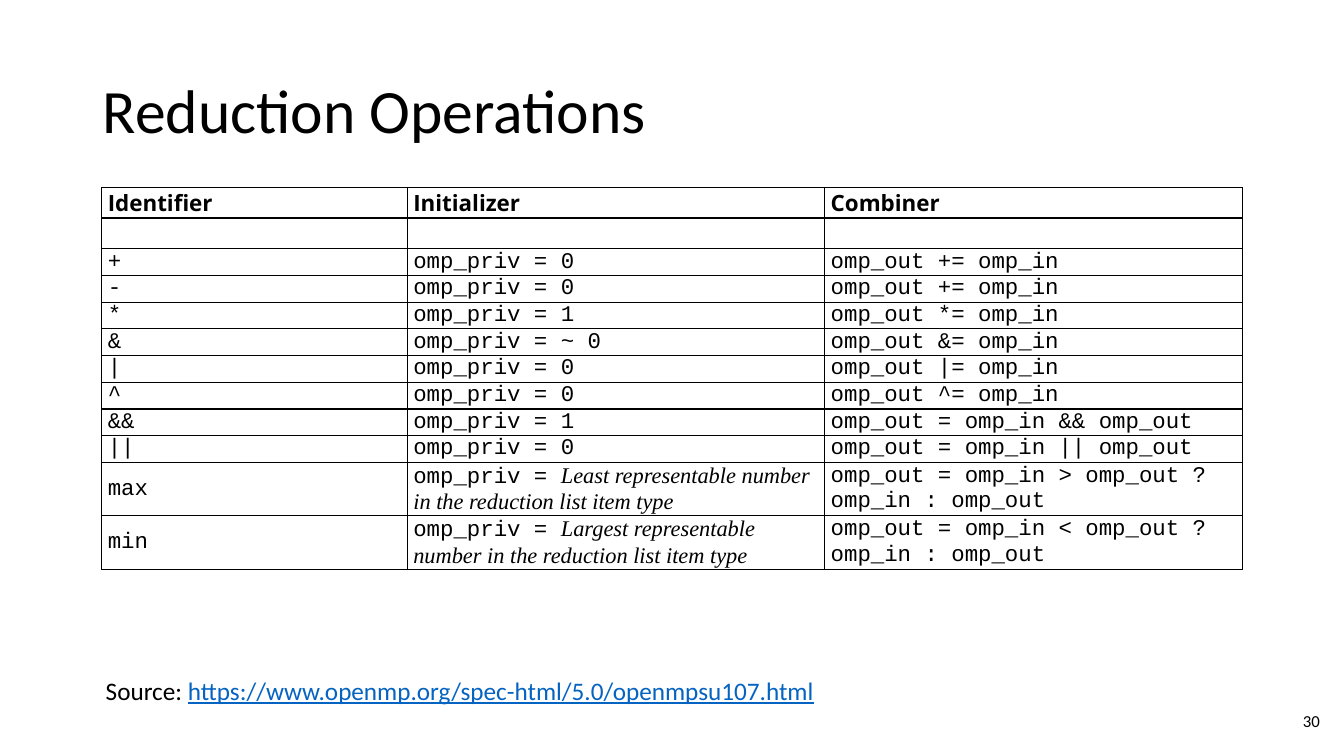
from lxml.etree import SubElement
from pptx import Presentation
from pptx.dml.color import RGBColor
from pptx.enum.text import MSO_ANCHOR as Anchor, MSO_AUTO_SIZE as AutoSize, PP_ALIGN as Align
from pptx.oxml.ns import qn
from pptx.util import Inches, Pt

BLACK, LINK_BLUE = "000000", "0563C1"
HEADING = {"name": "Open Sans", "size": Pt(16), "bold": True}
CODE = {"name": "Courier New", "size": Pt(16), "bold": False}
PROSE = {"name": "Times New Roman", "size": Pt(16), "bold": False, "italic": True}
TITLE = {"name": "Calibri", "size": Pt(44)}
SOURCE = {"name": "Calibri", "size": Pt(18)}
NUMBER = {"name": "Calibri", "size": Pt(12)}
CELL = {"margin_left": Inches(0.06), "margin_right": Inches(0.06),
        "margin_top": 0, "margin_bottom": 0, "vertical_anchor": Anchor.MIDDLE}

HEADINGS = ["Identifier", "Initializer", "Combiner"]
OPERATIONS = [
    ("+", "0", "+= omp_in"),
    ("-", "0", "+= omp_in"),
    ("*", "1", "*= omp_in"),
    ("&", "~ 0", "&= omp_in"),
    ("|", "0", "|= omp_in"),
    ("^", "0", "^= omp_in"),
    ("&&", "1", "= omp_in && omp_out"),
    ("||", "0", "= omp_in || omp_out"),
]
EXTREMES = [("max", "Least", ">"), ("min", "Largest", "<")]
COLUMN_WIDTHS = [3.03, 4.14, 4.14]
ROW_HEIGHTS = [0.3] * 2 + [0.265] * len(OPERATIONS) + [0.53] * len(EXTREMES)


def set_color(color_format, color):
    """Apply a hex colour to a colour format."""
    color_format.rgb = RGBColor.from_string(color)


def add_run(paragraph, text, formats, color=BLACK):
    """Append a formatted run to a paragraph."""
    run = paragraph.add_run()
    run.text = text
    for attribute, value in formats.items():
        setattr(run.font, attribute, value)
    set_color(run.font.color, color)


def add_borders(cell, color=BLACK, width=Pt(1)):
    """Draw a solid line on all four sides of a cell."""
    properties = cell._tc.get_or_add_tcPr()
    for side in ("a:lnL", "a:lnR", "a:lnT", "a:lnB"):
        line = SubElement(properties, qn(side), w=str(width))
        SubElement(SubElement(line, qn("a:solidFill")), qn("a:srgbClr"), val=color)


def fill_cell(cell, runs):
    """Format a table cell and write its runs."""
    for attribute, value in CELL.items():
        setattr(cell, attribute, value)
    add_borders(cell)
    cell.fill.background()
    for text, formats in runs:
        add_run(cell.text_frame.paragraphs[0], text, formats)


def reduction_rows():
    """Return the table content as rows of cells made of runs."""
    rows = [[[(heading, HEADING)] for heading in HEADINGS], [[], [], []]]
    for identifier, start, combiner in OPERATIONS:
        rows.append([[(identifier, CODE)], [(f"omp_priv = {start}", CODE)],
                     [(f"omp_out {combiner}", CODE)]])
    for identifier, extreme, comparison in EXTREMES:
        limit = f"{extreme} representable number in the reduction list item type"
        choice = f"omp_out = omp_in {comparison} omp_out ? omp_in : omp_out"
        rows.append([[(identifier, CODE)], [("omp_priv = ", CODE), (limit, PROSE)],
                     [(choice, CODE)]])
    return rows


def add_title(slide, left, top, width, height):
    """Place the slide title in its placeholder."""
    title = slide.shapes.title
    title.left, title.top = Inches(left), Inches(top)
    title.width, title.height = Inches(width), Inches(height)
    frame = title.text_frame
    frame.auto_size, frame.vertical_anchor = AutoSize.NONE, Anchor.MIDDLE
    heading = frame.paragraphs[0]
    heading.alignment, heading.line_spacing = Align.LEFT, 0.9
    add_run(heading, "Reduction Operations", TITLE)


def add_reduction_table(slide, left, top):
    """Build the table of reduction identifiers."""
    rows = reduction_rows()
    table = slide.shapes.add_table(
        len(rows), len(HEADINGS), Inches(left), Inches(top),
        Inches(sum(COLUMN_WIDTHS)), Inches(sum(ROW_HEIGHTS))).table
    table.first_row = table.horz_banding = False
    for column, width in zip(table.columns, COLUMN_WIDTHS):
        column.width = Inches(width)
    for row, height, contents in zip(table.rows, ROW_HEIGHTS, rows):
        row.height = Inches(height)
        for cell, runs in zip(row.cells, contents):
            fill_cell(cell, runs)


def add_line_of_text(slide, left, top, width, height, runs, alignment=Align.LEFT):
    """Add a one-line text box with the given runs."""
    frame = slide.shapes.add_textbox(
        Inches(left), Inches(top), Inches(width), Inches(height)).text_frame
    frame.word_wrap, frame.vertical_anchor = True, Anchor.MIDDLE
    line = frame.paragraphs[0]
    line.alignment = alignment
    for text, formats, color in runs:
        add_run(line, text, formats, color)


def main():
    """Create the slide and save it."""
    deck = Presentation()
    deck.slide_width, deck.slide_height = Inches(13.33), Inches(7.5)
    slide = deck.slides.add_slide(deck.slide_layouts[5])
    add_title(slide, 0.92, 0.4, 11.5, 1.45)
    add_reduction_table(slide, 1.01, 1.86)
    add_line_of_text(slide, 10.19, 6.95, 3, 0.4, [("30", NUMBER, BLACK)], Align.RIGHT)
    add_line_of_text(slide, 0.95, 6.65, 7.31, 0.4, [
        ("Source: ", SOURCE, BLACK),
        ("https://www.openmp.org/spec-html/5.0/openmpsu107.html",
         {**SOURCE, "underline": True}, LINK_BLUE)])
    deck.save("out.pptx")


if __name__ == "__main__":
    main()
